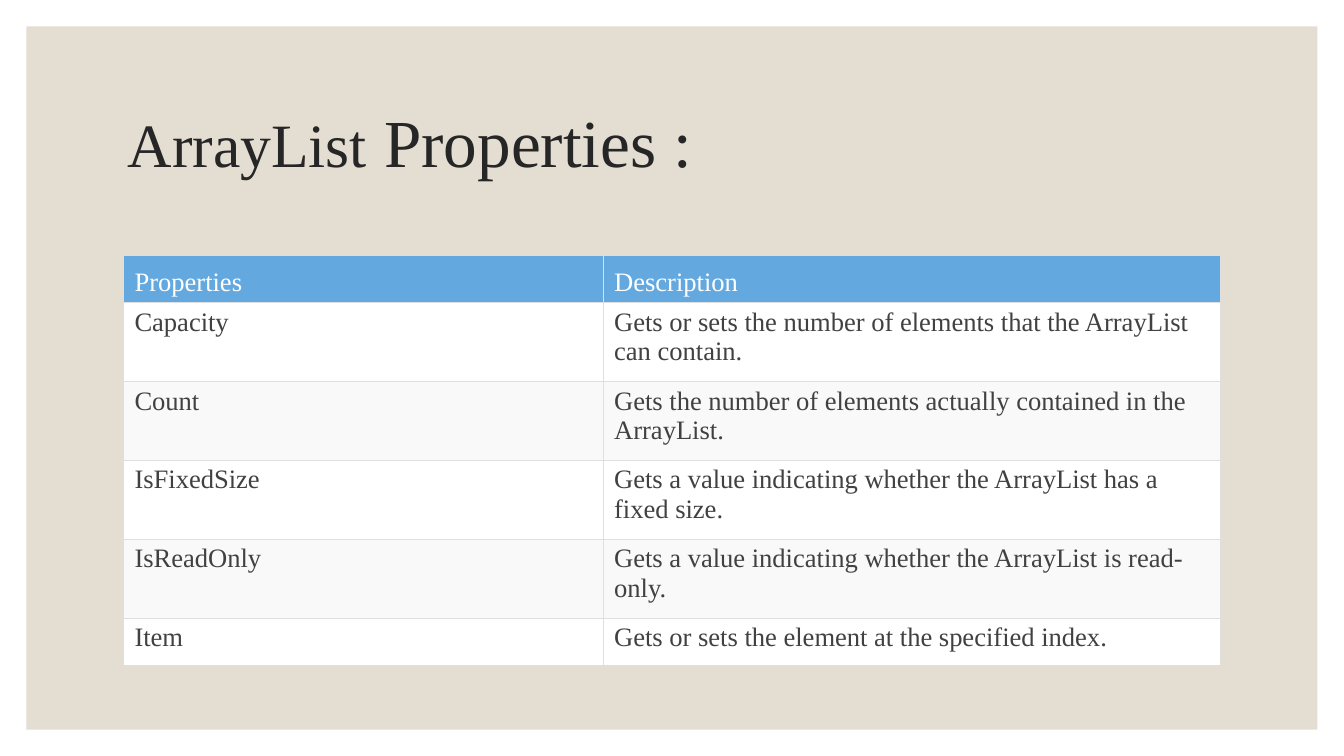
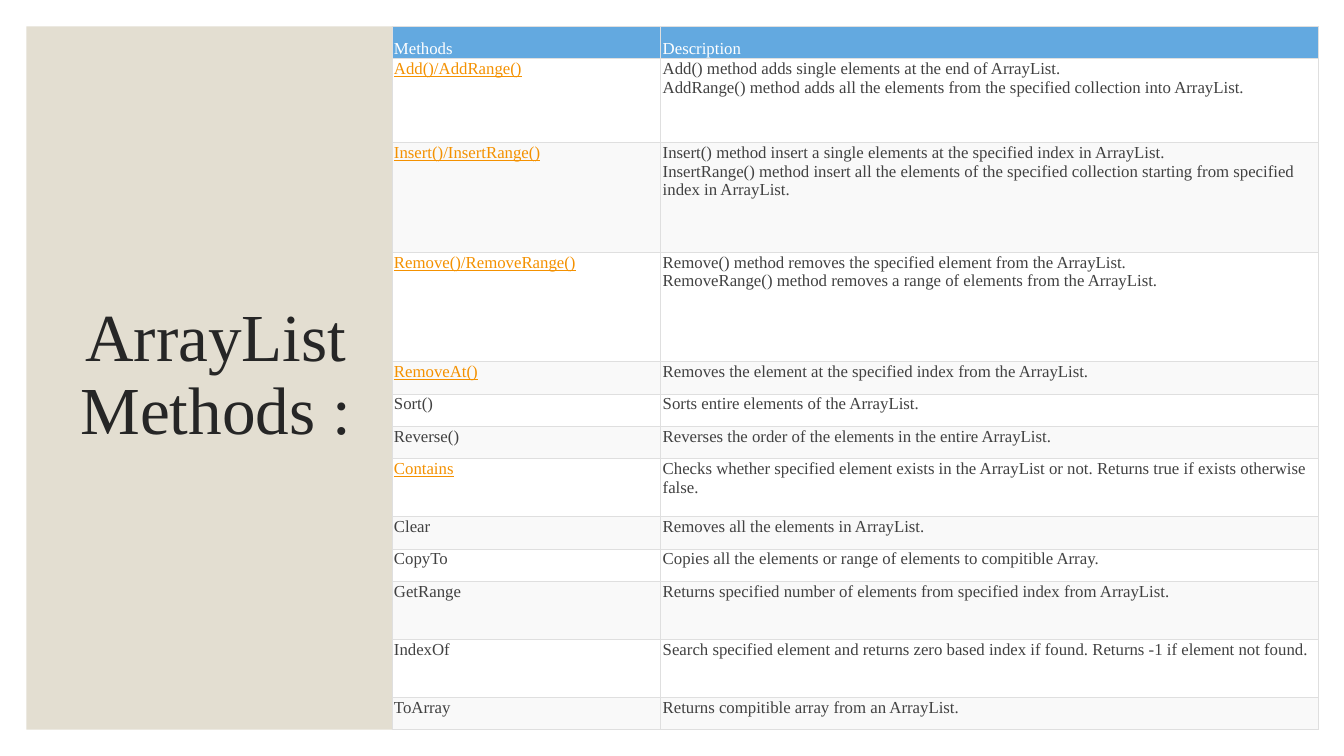
from lxml.etree import SubElement
from pptx import Presentation
from pptx.dml.color import RGBColor
from pptx.enum.shapes import MSO_SHAPE
from pptx.enum.text import MSO_ANCHOR, MSO_AUTO_SIZE, PP_ALIGN
from pptx.oxml.ns import qn
from pptx.util import Pt

COLORS = {
    "panel": "E3DED1",
    "title": "262626",
    "header": "63A9E0",
    "header_text": "FFFFFF",
    "text": "414141",
    "link": "F49100",
    "border": "DFDFDF",
    "odd": "FFFFFF",
    "even": "F9F9F9",
}
FONT = "Times New Roman"
EDGE = 18.9


def rgb(name):
    return RGBColor.from_string(COLORS[name])


def add_grid(slide, box, widths, heights, rows, size, inset, linked=()):
    table = slide.shapes.add_table(len(rows), len(widths), *map(Pt, box)).table
    table._tbl.tblPr.clear()
    for col, width in zip(table.columns, widths):
        col.width = Pt(width)
    for i, (row, height, texts) in enumerate(zip(table.rows, heights, rows)):
        row.height = Pt(height)
        for cell, text in zip(row.cells, texts):
            tcPr = cell._tc.get_or_add_tcPr()
            for side in ("a:lnL", "a:lnR", "a:lnT", "a:lnB"):
                ln = SubElement(tcPr, qn(side), w=str(Pt(0.6)))
                fill = SubElement(ln, qn("a:solidFill"))
                SubElement(fill, qn("a:srgbClr"), val=COLORS["border"])
            cell.fill.solid()
            cell.fill.fore_color.rgb = rgb("header" if i == 0 else "odd" if i % 2 else "even")
            cell.margin_left = cell.margin_right = Pt(inset[0])
            cell.margin_top = cell.margin_bottom = Pt(inset[1])
            cell.vertical_anchor = MSO_ANCHOR.BOTTOM if i == 0 else MSO_ANCHOR.TOP
            cell.text = text
            for p in cell.text_frame.paragraphs:
                p.font.name = FONT
                p.font.size = Pt(size)
                p.font.underline = text in linked
                p.font.color.rgb = rgb(
                    "header_text" if i == 0 else "link" if text in linked else "text")


prs = Presentation()
prs.slide_width, prs.slide_height = Pt(960), Pt(540)

pages = [
    (960 - 2 * EDGE, (84, 50.4, 792, 108), PP_ALIGN.LEFT,
     [("ArrayList", 44), (" Properties :", 48)]),
    (347.8, (45.4, 43.9, 217.4, 449.3), PP_ALIGN.CENTER, [("ArrayList Methods :", 48)]),
]
for panel_width, box, align, parts in pages:
    slide = prs.slides.add_slide(prs.slide_layouts[5])
    panel = slide.shapes.add_shape(
        MSO_SHAPE.RECTANGLE, Pt(EDGE), Pt(EDGE), Pt(panel_width), Pt(540 - 2 * EDGE))
    panel.shadow.inherit = False
    panel.fill.solid()
    panel.fill.fore_color.rgb = rgb("panel")
    panel.line.fill.background()
    slide.shapes._spTree.insert(2, panel._element)

    title = slide.shapes.title
    title.left, title.top, title.width, title.height = map(Pt, box)
    tf = title.text_frame
    tf.word_wrap = True
    tf.auto_size = MSO_AUTO_SIZE.NONE
    tf.vertical_anchor = MSO_ANCHOR.MIDDLE
    p = tf.paragraphs[0]
    p.alignment = align
    p.line_spacing = 0.9
    p.font.name = FONT
    p.font.color.rgb = rgb("title")
    for text, size in parts:
        r = p.add_run()
        r.text = text
        r.font.size = Pt(size)

properties = [
    ("Properties", "Description"),
    ("Capacity", "Gets or sets the number of elements that the ArrayList can contain."),
    ("Count", "Gets the number of elements actually contained in the ArrayList."),
    ("IsFixedSize", "Gets a value indicating whether the ArrayList has a fixed size."),
    ("IsReadOnly", "Gets a value indicating whether the ArrayList is read-only."),
    ("Item", "Gets or sets the element at the specified index."),
]
add_grid(prs.slides[0], (88.4, 182.2, 783.2, 293), (342.6, 440.6),
         [33.6] + [56.4] * 4 + [33.6], properties, 19, (7.7, 3.8))

methods = [
    ("Methods", "Description"),
    ("Add()/AddRange()",
     "Add() method adds single elements at the end of ArrayList.\n"
     "AddRange() method adds all the elements from the specified collection into ArrayList."),
    ("Insert()/InsertRange()",
     "Insert() method insert a single elements at the specified index in ArrayList.\n"
     "InsertRange() method insert all the elements of the specified collection "
     "starting from specified index in ArrayList."),
    ("Remove()/RemoveRange()",
     "Remove() method removes the specified element from the ArrayList.\n"
     "RemoveRange() method removes a range of elements from the ArrayList."),
    ("RemoveAt()", "Removes the element at the specified index from the ArrayList."),
    ("Sort()", "Sorts entire elements of the ArrayList."),
    ("Reverse()", "Reverses the order of the elements in the entire ArrayList."),
    ("Contains",
     "Checks whether specified element exists in the ArrayList or not. "
     "Returns true if exists otherwise false."),
    ("Clear", "Removes all the elements in ArrayList."),
    ("CopyTo", "Copies all the elements or range of elements to compitible Array."),
    ("GetRange", "Returns specified number of elements from specified index from ArrayList."),
    ("IndexOf",
     "Search specified element and returns zero based index if found. "
     "Returns -1 if element not found."),
    ("ToArray", "Returns compitible array from an ArrayList."),
]
linked = ("Add()/AddRange()", "Insert()/InsertRange()", "Remove()/RemoveRange()",
          "RemoveAt()", "Contains")
low, mid, high = 23.1, 41.5, 78.2
add_grid(prs.slides[1], (280, EDGE, 661.7, 502.2), (192, 469.7),
         [low, 60, high, high, low, low, low, mid, low, low, mid, mid, low],
         methods, 12, (1.4, 0.7), linked)

prs.save("out.pptx")
